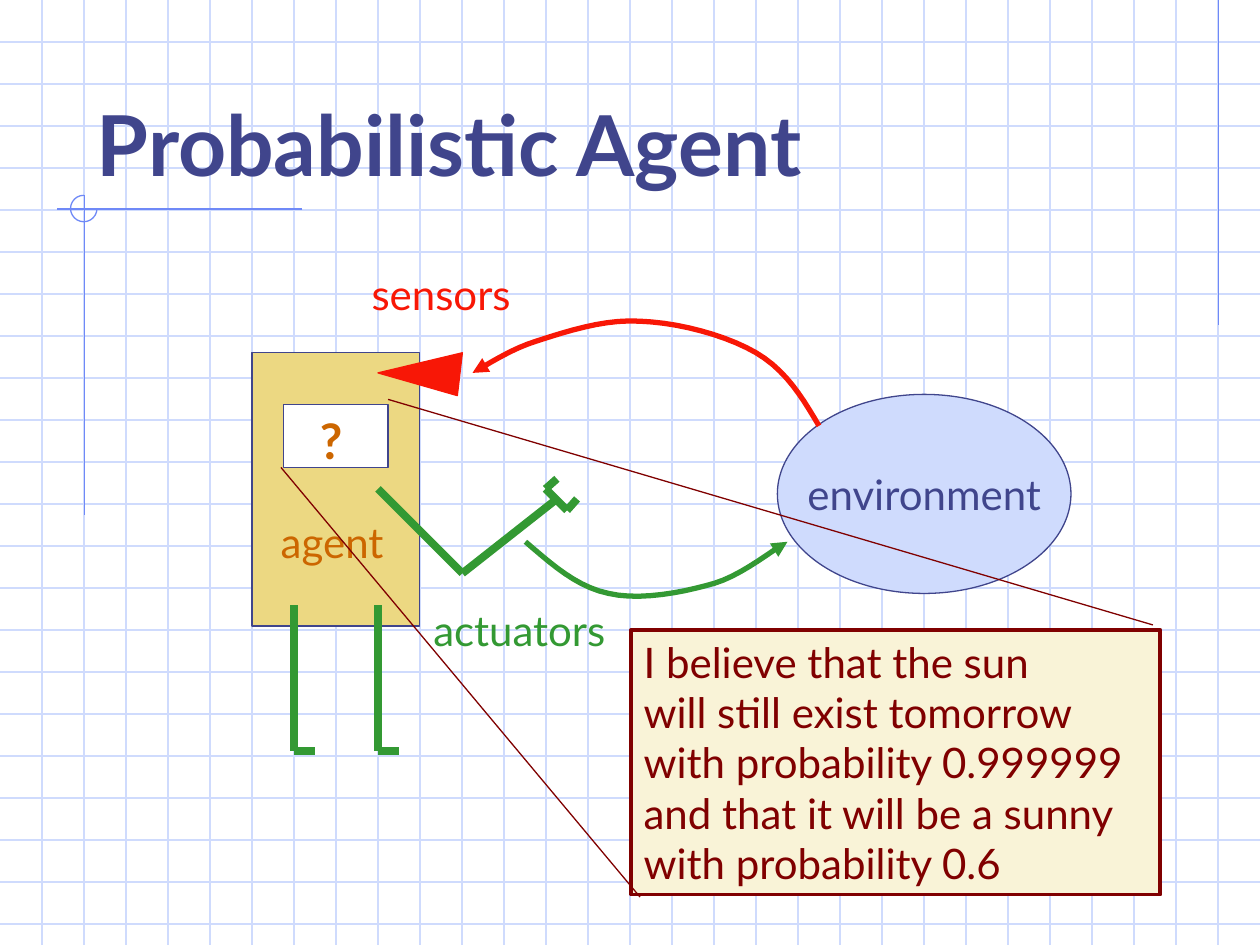
from lxml import etree
from pptx import Presentation
from pptx.dml.color import RGBColor
from pptx.enum import shapes, text
from pptx.oxml.ns import qn
from pptx.util import Inches, Pt

FONT = "Lato"
WIDTH, HEIGHT, GRID_STEP = 10, 7.5, 1 / 3
COLORS = {
    "grid": "CFDBFD", "accent": "6F89F7", "navy": "40458C", "red": "F81706",
    "green": "339933", "tan": "ECD882", "orange": "CC6600", "white": "FFFFFF",
    "cream": "F9F3D7", "maroon": "800000",
}

# Content: each paragraph is a list of lines
TITLE = [["Probabilistic Agent"]]
BELIEF = [
    ["I believe that the sun"],
    ["will still exist tomorrow", "with probability 0.999999"],
    ["and that it will be a sunny"],
    ["with probability 0.6"],
]
LABELS = [  # wording, box, size, colour, bold
    ("agent", (2.13, 4.05, 1.1, 0.5), 24, "orange", False),
    ("?", (2.44, 3.21, 0.38, 0.57), 28, "orange", True),
    ("sensors", (2.85, 2.08, 1.41, 0.5), 24, "red", False),
    ("actuators", (3.34, 4.75, 1.68, 0.5), 24, "green", False),
]

# Geometry in inches
RULES = [(9.67, 0, 9.67, 2.58), (2.4, 1.66, 0.45, 1.66), (0.67, 1.55, 0.67, 4.09)]
ARM = [(3, 3.88, 3.67, 4.55), (3.67, 4.55, 4.42, 3.96)]
HAND = [(4.33, 3.88, 4.5, 4.05), (4.33, 3.88, 4.42, 3.8), (4.5, 4.05, 4.58, 3.96)]
LEG_XS = [2.33, 3]
LEG_TOP, LEG_BOTTOM, FOOT = 4.8, 5.96, 0.17
CALLOUT = [(3.08, 3.17, 9.15, 4.96), (2.23, 3.71, 5.08, 7.12)]
SENSOR = [(3, 2.96), (3.67, 2.8), (3.63, 3.14)]
# Bezier chains: a start point, then two controls and an end per piece
FLOWS = [
    ("red", [(6.5, 3.38), (6.37, 3.16), (6.24, 2.94), (6, 2.8),
             (5.76, 2.66), (5.38, 2.56), (5.08, 2.55),
             (4.79, 2.53), (4.47, 2.64), (4.25, 2.71),
             (4.03, 2.78), (3.83, 2.92), (3.75, 2.96)]),
    ("green", [(4.17, 4.3), (4.38, 4.48), (4.58, 4.66), (4.83, 4.71),
               (5.08, 4.77), (5.43, 4.7), (5.67, 4.63),
               (5.9, 4.56), (6.15, 4.35), (6.25, 4.3)]),
]


def rgb(name):
    return RGBColor.from_string(COLORS[name])


def style(shape, fill, line, width=0.75):
    shape.shadow.inherit = False
    if fill:
        shape.fill.solid()
        shape.fill.fore_color.rgb = rgb(fill)
    else:
        shape.fill.background()
    shape.line.color.rgb = rgb(line)
    shape.line.width = Pt(width)
    return shape


def add_line(slide, ends, color, width=0.75):
    line = slide.shapes.add_connector(
        shapes.MSO_CONNECTOR.STRAIGHT, *(Inches(value) for value in ends))
    line.line.color.rgb = rgb(color)
    line.line.width = Pt(width)
    etree.SubElement(line._element.spPr, qn("a:effectLst"))


def add_shape(slide, kind, box, fill, line, width=0.75):
    shape = slide.shapes.add_shape(kind, *(Inches(value) for value in box))
    return style(shape, fill, line, width)


def add_outline(slide, points, close):
    points = [(Inches(x), Inches(y)) for x, y in points]
    builder = slide.shapes.build_freeform(*points[0])
    builder.add_line_segments(points[1:], close=close)
    return builder.convert_to_shape()


def bezier_points(chain, steps=10):
    points = [chain[0]]
    for first in range(0, len(chain) - 1, 3):
        controls = chain[first:first + 4]
        for step in range(1, steps + 1):
            t = step / steps
            weights = ((1 - t) ** 3, 3 * t * (1 - t) ** 2, 3 * t * t * (1 - t), t ** 3)
            points.append(tuple(
                sum(w * point[axis] for w, point in zip(weights, controls))
                for axis in (0, 1)))
    return points


def write(shape, paragraphs, size, color, bold=False, anchor=text.MSO_ANCHOR.TOP,
          align=text.PP_ALIGN.LEFT, wrap=False):
    frame = shape.text_frame
    frame.word_wrap = wrap
    frame.vertical_anchor = anchor
    for index, lines in enumerate(paragraphs):
        paragraph = frame.add_paragraph() if index else frame.paragraphs[0]
        paragraph.alignment = align
        for number, line in enumerate(lines):
            if number:
                paragraph.add_line_break()
            run = paragraph.add_run()
            run.text = line
            run.font.name = FONT
            run.font.size = Pt(size)
            run.font.bold = bold
            run.font.color.rgb = rgb(color)


def add_text(slide, box, *args, **options):
    write(slide.shapes.add_textbox(*(Inches(value) for value in box)), *args, **options)


def draw_background(slide):
    for row in range(1, 23):
        add_line(slide, (0, row * GRID_STEP, WIDTH, row * GRID_STEP), "grid")
    for column in range(1, 30):
        add_line(slide, (column * GRID_STEP, 0, column * GRID_STEP, HEIGHT), "grid")
    for ends in RULES:
        add_line(slide, ends, "accent")
    arc = add_shape(slide, shapes.MSO_SHAPE.ARC, (0.56, 1.55, 0.21, 0.21), None, "accent")
    arc.adjustments[0] = 0
    arc.adjustments[1] = 162  # 270 degrees


def draw_agent_and_environment(slide):
    rectangle = shapes.MSO_SHAPE.RECTANGLE
    environment = add_shape(slide, shapes.MSO_SHAPE.OVAL, (6.17, 3.13, 2.33, 1.58),
                            "grid", "navy")
    write(environment, [["environment"]], 24, "navy",
          anchor=text.MSO_ANCHOR.MIDDLE, align=text.PP_ALIGN.CENTER)

    # Curved arrows between agent and environment
    for color, chain in FLOWS:
        flow = style(add_outline(slide, bezier_points(chain), False), None, color, 3)
        etree.SubElement(flow.line._get_or_add_ln(), qn("a:tailEnd"), type="triangle")

    # Body, screen and limbs
    add_shape(slide, rectangle, (2, 2.8, 1.33, 2.17), "tan", "navy")
    add_shape(slide, rectangle, (2.25, 3.21, 0.83, 0.5), "white", "navy")
    legs = []
    for x in LEG_XS:
        legs += [(x, LEG_BOTTOM, x, LEG_TOP), (x, LEG_BOTTOM, x + FOOT, LEG_BOTTOM)]
    for ends in ARM + HAND + legs:
        add_line(slide, ends, "green", 4.5)
    style(add_outline(slide, SENSOR, True), "red", "red")
    for wording, box, size, color, bold in LABELS:
        add_text(slide, box, [[wording]], size, color, bold)

    # Belief callout
    belief = add_shape(slide, rectangle, (5.01, 5, 4.2, 2.1), "cream", "maroon", 2.25)
    write(belief, BELIEF, 24, "maroon")
    for ends in CALLOUT:
        add_line(slide, ends, "maroon")


def main():
    presentation = Presentation()
    presentation.slide_width, presentation.slide_height = Inches(WIDTH), Inches(HEIGHT)
    slide = presentation.slides.add_slide(presentation.slide_layouts[6])
    draw_background(slide)
    add_text(slide, (0.67, 0.33, 8.5, 1.25), TITLE, 48, "navy", True,
             anchor=text.MSO_ANCHOR.BOTTOM, wrap=True)
    draw_agent_and_environment(slide)
    presentation.save("out.pptx")


if __name__ == "__main__":
    main()
